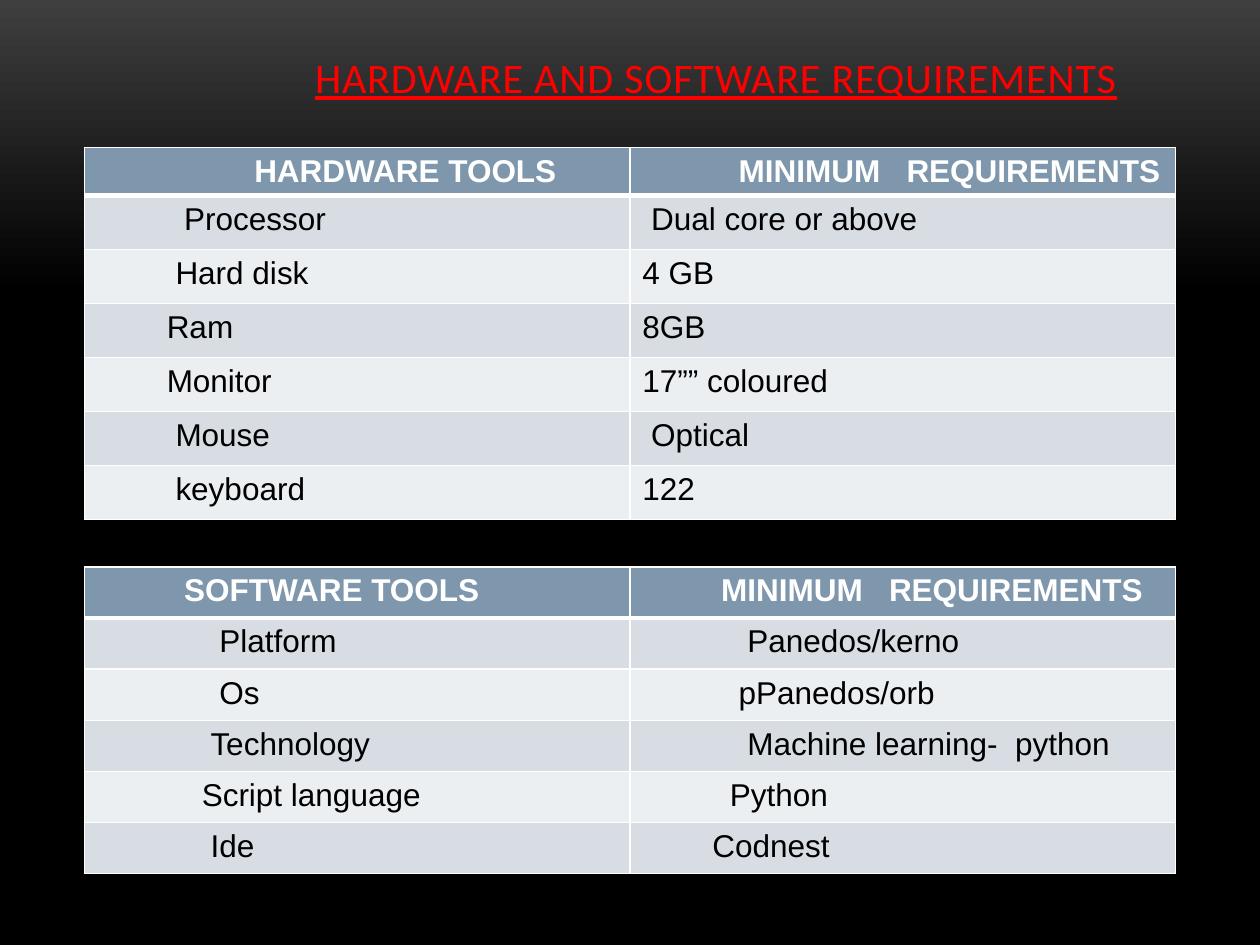
"""Build the hardware and software requirements slide."""
from dataclasses import dataclass

from lxml import etree
from pptx import Presentation
from pptx import util as u
from pptx.dml.color import RGBColor
from pptx.enum import text
from pptx.oxml import ns


@dataclass(frozen=True)
class Theme:
    """Hold the colours, fonts and type sizes."""
    title_colour: str = "FF0000"
    header_fill: str = "7E97AD"
    band_fills: tuple = ("D8DDE3", "ECEFF1")
    light: str = "FFFFFF"
    dark: str = "000000"
    background_top: str = "3F3F3F"
    title_font: str = "Calibri"
    table_font: str = "Arial"
    title_size: int = 24
    table_size: int = 18
    indent_step: float = 0.1765
    cell_margin: float = 0.25


class SlideBuilder:
    """Draw styled elements on the current slide."""

    def __init__(self, presentation, theme):
        """Start a title-only slide."""
        self.theme = theme
        self.slide = presentation.slides.add_slide(presentation.slide_layouts[5])

    def background(self):
        """Fade the background from grey to black."""
        fill = self.slide.background.fill
        fill.gradient()
        fill.gradient_angle = 270
        stops = ((0, self.theme.background_top), (0.31, self.theme.dark))
        for stop, (position, colour) in zip(fill.gradient_stops, stops):
            stop.position = position
            stop.color.rgb = RGBColor.from_string(colour)

    def style(self, paragraph, font, size, colour, bold=False):
        """Format the runs of a paragraph."""
        for run in paragraph.runs:
            run.font.name = font
            run.font.size = u.Pt(size)
            run.font.bold = bold
            run.font.color.rgb = RGBColor.from_string(colour)

    def title(self, wording, left, top, width, height, indent):
        """Place the underlined title."""
        shape = self.slide.shapes.title
        shape.left, shape.top = u.Cm(left), u.Cm(top)
        shape.width, shape.height = u.Cm(width), u.Cm(height)
        frame = shape.text_frame
        frame.text = wording
        frame.auto_size = text.MSO_AUTO_SIZE.NONE
        frame.vertical_anchor = text.MSO_ANCHOR.BOTTOM
        frame.margin_left, frame.margin_bottom = u.Cm(indent), u.Cm(0.05)
        paragraph = frame.paragraphs[0]
        paragraph.alignment = text.PP_ALIGN.LEFT
        self.style(paragraph, self.theme.title_font, self.theme.title_size,
                   self.theme.title_colour)
        for run in paragraph.runs:
            run.font.underline = True
            run.font._element.set("spc", "50")

    def borders(self, cell, bottom):
        """Draw the white cell borders."""
        properties = cell._tc.get_or_add_tcPr()
        for side, width in (("L", 1), ("R", 1), ("T", 1), ("B", bottom)):
            line = etree.SubElement(properties, ns.qn(f"a:ln{side}"), w=str(u.Pt(width)))
            fill = etree.SubElement(line, ns.qn("a:solidFill"))
            etree.SubElement(fill, ns.qn("a:srgbClr"), val=self.theme.light)

    def cell(self, cell, wording, steps, row):
        """Fill and format one table cell."""
        theme = self.theme
        header = row == 0
        cell.text_frame.text = wording
        cell.margin_left = u.Cm(theme.cell_margin + steps * theme.indent_step)
        cell.margin_right = u.Cm(0)
        self.style(cell.text_frame.paragraphs[0], theme.table_font, theme.table_size,
                   theme.light if header else theme.dark, header)
        self.borders(cell, 3 if header else 1)
        colour = theme.header_fill if header else theme.band_fills[(row - 1) % 2]
        cell.fill.solid()
        cell.fill.fore_color.rgb = RGBColor.from_string(colour)

    def table(self, rows, left, top, width, header_height, row_height):
        """Add a table from rows of wording and indent steps."""
        height = header_height + row_height * (len(rows) - 1)
        table = self.slide.shapes.add_table(
            len(rows), len(rows[0]), u.Cm(left), u.Cm(top), u.Cm(width), u.Cm(height)).table
        for index, row in enumerate(rows):
            table.rows[index].height = u.Cm(row_height if index else header_height)
            for column, (wording, steps) in enumerate(row):
                self.cell(table.cell(index, column), wording, steps, index)


HARDWARE = [
    (("HARDWARE TOOLS", 18), ("MINIMUM   REQUIREMENTS", 11)),
    (("Processor", 10), ("Dual core or above", 1)),
    (("Hard disk", 9), ("4 GB", 0)),
    (("Ram", 8), ("8GB", 0)),
    (("Monitor", 8), ("17”” coloured", 0)),
    (("Mouse", 9), ("Optical", 1)),
    (("keyboard", 9), ("122", 0)),
]
SOFTWARE = [
    (("SOFTWARE TOOLS", 10), ("MINIMUM   REQUIREMENTS", 9)),
    (("Platform", 14), ("Panedos/kerno", 12)),
    (("Os", 14), ("pPanedos/orb", 11)),
    (("Technology", 13), ("Machine learning-  python", 12)),
    (("Script language", 12), ("Python", 10)),
    (("Ide", 13), ("Codnest", 8)),
]


def main():
    """Create and save the presentation."""
    presentation = Presentation()
    presentation.slide_width, presentation.slide_height = u.Cm(25.4), u.Cm(19.05)
    builder = SlideBuilder(presentation, Theme())
    left, width = 1.7, 22
    builder.background()
    builder.title("HARDWARE AND SOFTWARE REQUIREMENTS", left, 0.76, width, 1.35, 4.65)
    builder.table(HARDWARE, left, 2.97, width, 0.9, 1.09)
    builder.table(SOFTWARE, left, 11.43, width, 1.03, 1.03)
    presentation.save("out.pptx")


if __name__ == "__main__":
    main()
